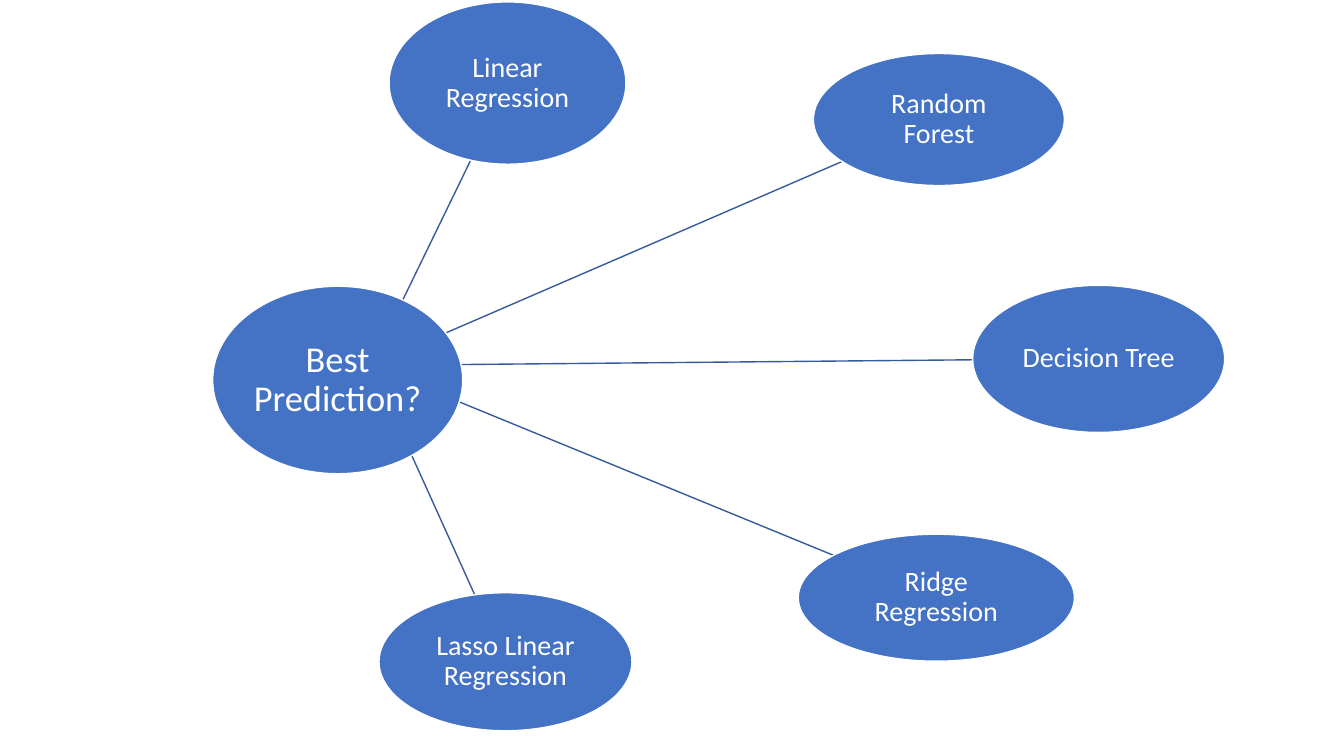
import pptx
import pptx.util
import pptx.dml.color
import pptx.enum.shapes
import pptx.enum.text
import pptx.oxml.ns
import lxml.etree

Pt = pptx.util.Pt
COLOURS = {"bubble": "4472C4", "outline": "FFFFFF", "text": "FFFFFF", "spoke": "365B9D"}

# label, bubble (left, top, width, height), spoke (from x, y, to x, y)
MODELS = [
    ("Lasso Linear Regression", (270.7, 423.4, 180.7, 98.6), (284.4, 303.8, 339.1, 424.8)),
    ("Ridge Regression", (570.2, 381.6, 197.3, 90.7), (307.4, 278.6, 595.4, 396.7)),
    ("Decision Tree", (694.8, 203.8, 180, 105.1), (307.4, 260.6, 694.8, 257)),
    ("Random Forest", (581, 38.2, 179.3, 94.3), (307.4, 242.6, 601.9, 115.2)),
    ("Linear Regression", (277.9, 1.4, 169.2, 115.9), (285.8, 218.2, 336.2, 114.5)),
]
HUB = ("Best Prediction?", (151.9, 204.5, 178.6, 133.9))


def colour(name):
    return pptx.dml.color.RGBColor.from_string(COLOURS[name])


def add_bubble(page, label, place, size):
    bubble = page.shapes.add_shape(
        pptx.enum.shapes.MSO_SHAPE.OVAL, *[Pt(length) for length in place])
    bubble.shadow.inherit = False
    bubble.fill.solid()
    bubble.fill.fore_color.rgb = colour("bubble")
    bubble.line.color.rgb = colour("outline")
    bubble.line.width = Pt(1)
    box = bubble.text_frame
    frame_format = {
        "word_wrap": True,
        "vertical_anchor": pptx.enum.text.MSO_ANCHOR.MIDDLE,
        "margin_left": Pt(2), "margin_right": Pt(2),
        "margin_top": Pt(1), "margin_bottom": Pt(1),
    }
    for name, value in frame_format.items():
        setattr(box, name, value)
    para = box.paragraphs[0]
    para.alignment = pptx.enum.text.PP_ALIGN.CENTER
    para.line_spacing = 0.9
    span = para.add_run()
    span.text = label
    for name, value in {"name": "Calibri", "size": Pt(size)}.items():
        setattr(span.font, name, value)
    span.font.color.rgb = colour("text")


deck = pptx.Presentation()
deck.slide_width, deck.slide_height = Pt(960), Pt(540)
page = deck.slides.add_slide(deck.slide_layouts[6])

for label, place, ends in MODELS:
    spoke = page.shapes.add_connector(
        pptx.enum.shapes.MSO_CONNECTOR.STRAIGHT, *[Pt(length) for length in ends])
    spoke.line.color.rgb = colour("spoke")
    spoke.line.width = Pt(1)
    lxml.etree.SubElement(spoke.element.spPr, pptx.oxml.ns.qn("a:effectLst"))

for label, place, ends in MODELS:
    add_bubble(page, label, place, 20)
add_bubble(page, *HUB, 26)

deck.save("out.pptx")
